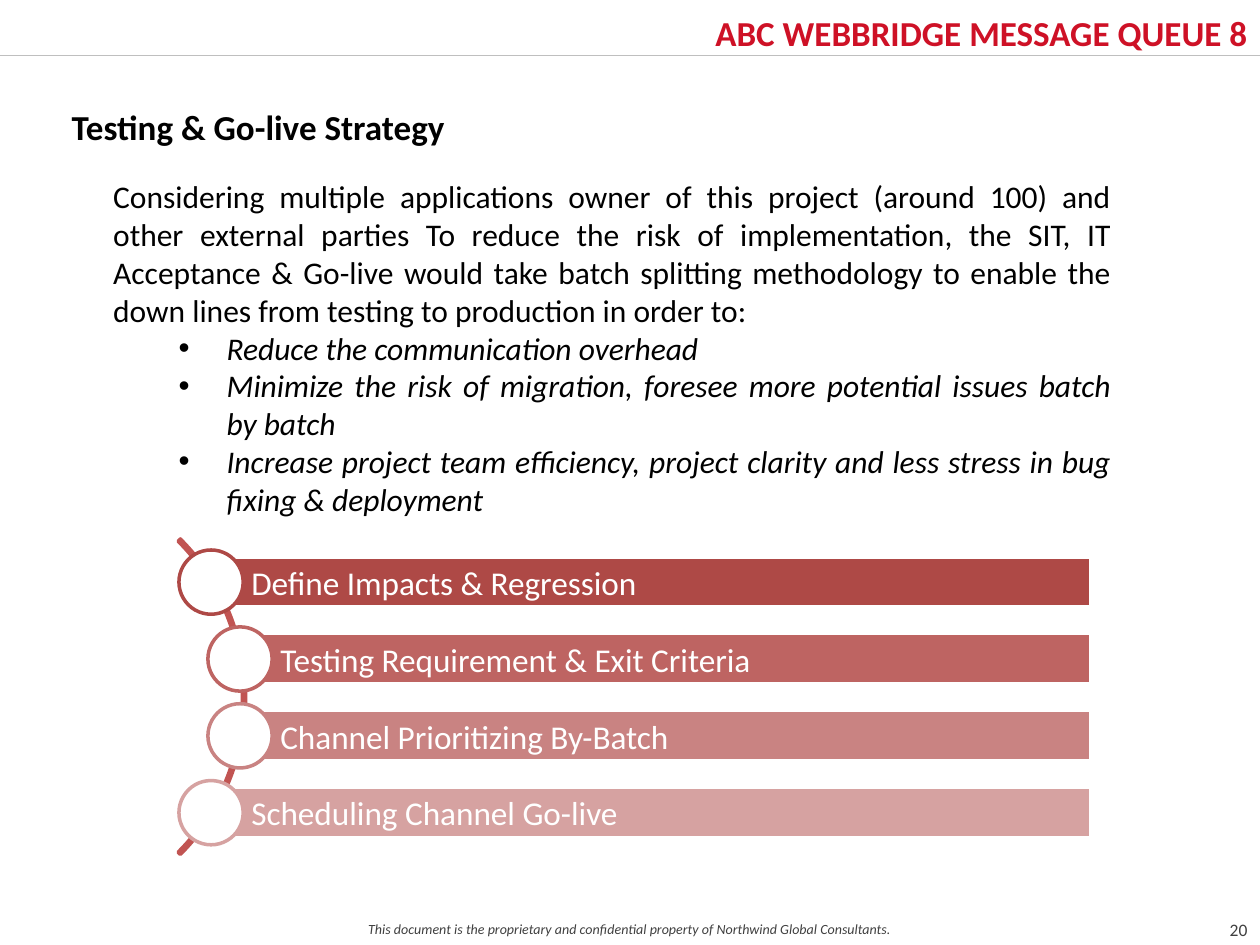
import dataclasses

import lxml.etree
import pptx
import pptx.dml.color
import pptx.enum.shapes
import pptx.enum.text
import pptx.oxml.ns
import pptx.util

Inches = pptx.util.Inches
Pt = pptx.util.Pt
Align = pptx.enum.text.PP_ALIGN
Anchor = pptx.enum.text.MSO_ANCHOR
Shape = pptx.enum.shapes.MSO_SHAPE


@dataclasses.dataclass(frozen=True)
class Theme:
    font: str = "Calibri"
    head: str = "CE1126"
    ink: str = "000000"
    gray: str = "404040"
    rule: str = "BFBFBF"
    white: str = "FFFFFF"
    arc: str = "C15452"
    steps: tuple = ("AE4946", "BE6462", "C98382", "D6A2A1")
    big: int = 20
    step: int = 19
    body: int = 18
    page: int = 10
    foot: int = 8


THEME = Theme()

INTRO = (
    "Considering multiple applications owner of this project (around 100) and "
    "other external parties To reduce the risk of implementation, the SIT, IT "
    "Acceptance & Go-live would take batch splitting methodology to enable the "
    "down lines from testing to production in order to:"
)
GOALS = (
    "Reduce the communication overhead",
    "Minimize the risk of migration, foresee more potential issues batch by batch",
    "Increase project team efficiency, project clarity and less stress in bug "
    "fixing & deployment",
)
STEPS = (
    "Define Impacts & Regression",
    "Testing Requirement & Exit Criteria",
    "Channel Prioritizing By-Batch",
    "Scheduling Channel Go-live",
)


def rgb(code):
    return pptx.dml.color.RGBColor.from_string(code)


def style(para, size, color, bold=False, slant=False, align=Align.LEFT):
    para.alignment = align
    for run in para.runs:
        font = run.font
        font.name, font.size = THEME.font, Pt(size)
        font.bold, font.italic = bold, slant
        font.color.rgb = rgb(color)


def pad(frame, left, top, right, base):
    frame.margin_left, frame.margin_top = Inches(left), Inches(top)
    frame.margin_right, frame.margin_bottom = Inches(right), Inches(base)


def add_text(slide, box, text, size, color, **look):
    frame = slide.shapes.add_textbox(*map(Inches, box)).text_frame
    frame.word_wrap = True
    frame.text = text
    style(frame.paragraphs[0], size, color, **look)
    return frame


def add_point(frame, text):
    para = frame.add_paragraph()
    para.text = text
    para.level = 1
    props = para._p.get_or_add_pPr()
    props.set("marL", str(Inches(0.9)))
    props.set("indent", str(Inches(-0.38)))
    for tag, key, value in (("a:buFont", "typeface", "Arial"), ("a:buChar", "char", "•")):
        lxml.etree.SubElement(props, pptx.oxml.ns.qn(tag)).set(key, value)
    style(para, THEME.body, THEME.ink, slant=True, align=Align.JUSTIFY)


def add_form(slide, kind, box, fill, line):
    form = slide.shapes.add_shape(kind, *map(Inches, box))
    form.shadow.inherit = False
    if fill:
        form.fill.solid()
        form.fill.fore_color.rgb = rgb(fill)
    else:
        form.fill.background()
    form.line.color.rgb = rgb(line)
    form.line.width = Pt(2)
    return form


def add_rule(slide, top):
    rule = slide.shapes.add_connector(
        pptx.enum.shapes.MSO_CONNECTOR.STRAIGHT, 0, Inches(top), Inches(10), Inches(top))
    rule.line.color.rgb = rgb(THEME.rule)
    rule.line.width = Pt(0.5)
    lxml.etree.SubElement(rule._element.spPr, pptx.oxml.ns.qn("a:effectLst"))


def add_step(slide, left, top, text, color):
    # The bar starts at the centre of its circle
    size, high, right = 0.51, 0.4, 8.66
    start = left + size / 2
    bar = add_form(slide, Shape.RECTANGLE, (start, top, right - start, high),
                   color, THEME.white)
    frame = bar.text_frame
    frame.text = text
    frame.word_wrap = True
    frame.vertical_anchor = Anchor.MIDDLE
    pad(frame, 0.32, 0.05, 0.05, 0.05)
    style(frame.paragraphs[0], THEME.step, THEME.white)
    add_form(slide, Shape.OVAL, (left, top + (high - size) / 2, size, size),
             THEME.white, color)


def add_steps(slide):
    arc = add_form(slide, Shape.BLOCK_ARC, (-1.59, 3.76, 3.54, 3.54), None, THEME.arc)
    for i, value in enumerate((189, 27, 0.7 / 100)):
        arc.adjustments[i] = value
    lefts = (1.42, 1.65, 1.65, 1.42)
    for i, (left, text, color) in enumerate(zip(lefts, STEPS, THEME.steps)):
        add_step(slide, left, 4.42 + 0.61 * i, text, color)


def add_frame(slide):
    add_rule(slide, 0.44)
    head = add_text(slide, (4.01, 0.02, 5.99, 0.42), "ABC WEBBRIDGE MESSAGE QUEUE 8",
                    THEME.big, THEME.head, bold=True, align=Align.RIGHT)
    pad(head, 0, 0.07, 0.1, 0.07)
    add_text(slide, (0, 7.26, 10, 0.24),
             "This document is the proprietary and confidential property of "
             "Northwind Global Consultants.",
             THEME.foot, THEME.gray, slant=True, align=Align.CENTER)
    page = add_text(slide, (9.6, 7.16, 0.46, 0.43), "20",
                    THEME.page, THEME.gray, align=Align.CENTER)
    page.vertical_anchor = Anchor.MIDDLE


def main():
    deck = pptx.Presentation()
    deck.slide_width, deck.slide_height = Inches(10), Inches(7.5)
    slide = deck.slides.add_slide(deck.slide_layouts[6])

    # Header and footer
    add_frame(slide)

    # Heading and body
    add_text(slide, (0.47, 0.79, 9.02, 0.44), "Testing & Go-live Strategy",
             THEME.big, THEME.ink, bold=True, align=Align.JUSTIFY)
    body = add_text(slide, (0.8, 1.36, 8.12, 2.86), INTRO,
                    THEME.body, THEME.ink, align=Align.JUSTIFY)
    for goal in GOALS:
        add_point(body, goal)

    # Curved list of steps
    add_steps(slide)

    deck.save("out.pptx")


if __name__ == "__main__":
    main()
